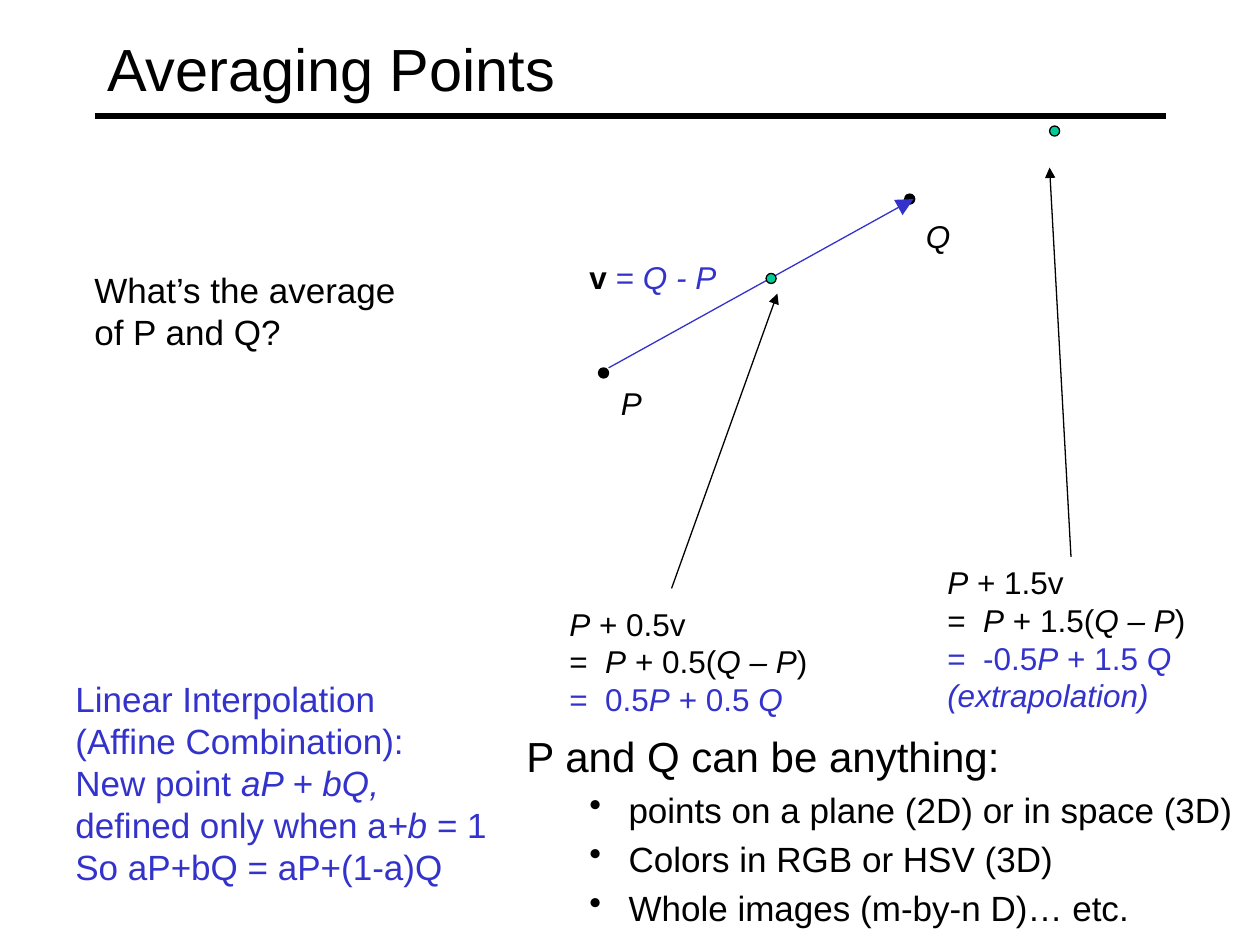
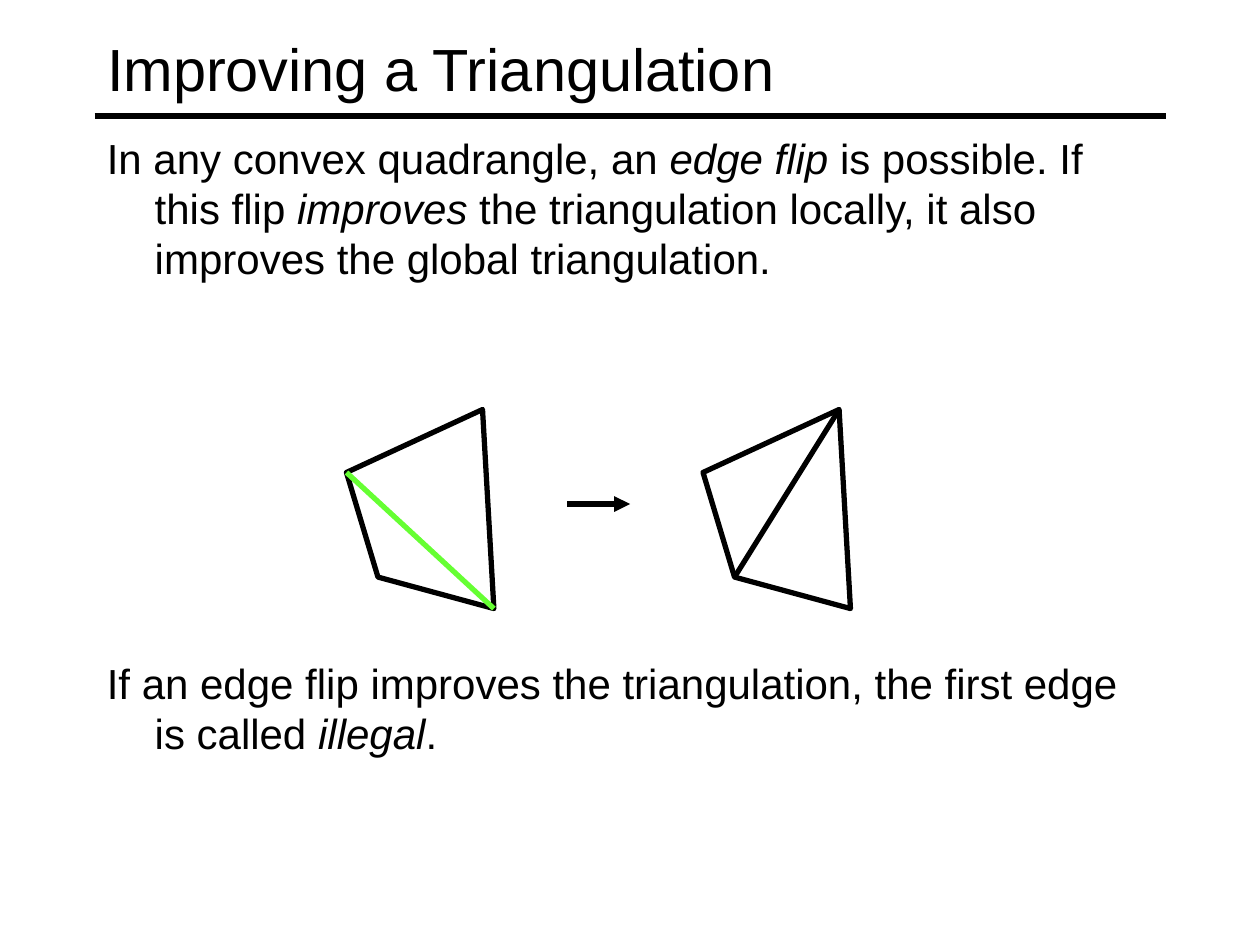
from lxml import etree
from pptx import Presentation, util as u
from pptx.dml.color import RGBColor
from pptx.enum import shapes, text
from pptx.oxml.ns import qn

# ---- Shared style ----
WIDTH, HEIGHT = 10, 7.5
MARGIN = 0.75
FONT = "Arial"
BLACK, BLUE, TEAL, GREEN = "000000", "3333CC", "00CC99", "66FF33"
THIN, THICK = 0.75, 3
TITLE_BOX = (MARGIN, 0.08, WIDTH - 2 * MARGIN, 0.92)
RULE_Y = 0.92
DOT = 0.08
HANGING = dict(margin=0.38, indent=-0.38, before=5)
BULLET = dict(margin=0.81, indent=-0.31, before=4, level=1, bullet="•")

# ---- Content: text between underscores is italic ----
AVERAGING = "Averaging Points"
QUESTION = ["What’s the average", "of P and Q?"]
DOTS = [((4.79, 2.96), BLACK), ((7.22, 1.58), BLACK),
        ((6.12, 2.21), TEAL), ((8.37, 1.04), TEAL)]
ARROWS = [((4.83, 2.92), (7.25, 1.58), BLUE, "lg"),
          ((5.33, 4.67), (6.17, 2.33), BLACK, "med"),
          ((8.5, 4.42), (8.33, 1.33), BLACK, "med")]
POINT_NAMES = [("_P_", (4.83, 3, 0.37, 0.4)), ("_Q_", (7.25, 1.67, 0.4, 0.4))]
VECTOR = "v __= _Q - P_"
MIDPOINT = [("_P_ + 0.5v", BLACK),
            ("=  _P_ + 0.5(_Q – P_)", BLACK),
            ("=  0.5_P_ + 0.5 _Q_", BLUE)]
BEYOND = [("_P_ + 1.5v", BLACK),
          ("=  _P_ + 1.5(_Q – P_)", BLACK),
          ("=  -0.5_P_ + 1.5 _Q_", BLUE),
          ("_(extrapolation)_", BLUE)]
INTERPOLATION = ["Linear Interpolation", "(Affine Combination):",
                 "New point _aP + bQ,_", "defined only when a_+b_ = 1",
                 "So aP+bQ = aP+(1-a)Q"]
ANYTHING = "P and Q can be anything:"
EXAMPLES = ["points on a plane (2D) or in space (3D)",
            "Colors in RGB or HSV (3D)", "Whole images (m-by-n D)… etc."]

IMPROVING = "Improving a Triangulation"
FLIP = ("In any convex quadrangle, an _edge flip_ is possible. If this flip "
        "_improves_ the triangulation locally, it also improves the global "
        "triangulation.")
ILLEGAL = ("If an edge flip improves the triangulation, the first edge is "
           "called _illegal_.")
QUAD = [(2.75, 3.75), (3.83, 3.25), (3.92, 4.83), (3, 4.58)]  # clockwise from left
QUAD_STEP = 2.83
FLIP_EDGES = [(0, 2, GREEN), (3, 1, BLACK)]  # diagonal of each quadrangle


# ---- Helpers ----
def rgb(color):
    return RGBColor.from_string(color)


def inches(values):
    return [u.Inches(v) for v in values]


def set_font(font, color=BLACK, **values):
    for name, value in dict(name=FONT, **values).items():
        setattr(font, name, value)
    font.color.rgb = rgb(color)


def write(p, content, size, color=BLACK):
    """Fill a paragraph, switching italics at each underscore."""
    for i, part in enumerate(content.split("_")):
        if part:
            r = p.add_run()
            r.text = part
            set_font(r.font, color, size=u.Pt(size), italic=i % 2 == 1)


def layout_paragraph(p, first, margin=0, indent=0, before=0, level=0,
                     bullet=None):
    p.level = level
    p.space_before = u.Pt(0 if first else before)
    pPr = p._p.get_or_add_pPr()
    pPr.set("marL", str(u.Inches(margin)))
    pPr.set("indent", str(u.Inches(indent)))
    if bullet:
        etree.SubElement(pPr, qn("a:buChar"), char=bullet)
    else:
        etree.SubElement(pPr, qn("a:buNone"))


def add_text(s, box, paragraphs, wrap=True):
    """paragraphs: list of (content, size, color, layout)."""
    tf = s.shapes.add_textbox(*inches(box)).text_frame
    tf.word_wrap = wrap
    for i, (content, size, color, layout) in enumerate(paragraphs):
        p = tf.add_paragraph() if i else tf.paragraphs[0]
        layout_paragraph(p, i == 0, **layout)
        write(p, content, size, color)
    return tf


def plain(lines, size, color=BLACK):
    return [(line, size, color, {}) for line in lines]


def formula(lines):
    return [(line, 18, color, {}) for line, color in lines]


def add_line(s, start, end, color=BLACK, width=THIN, arrow=None):
    """arrow: size of the arrowhead at the end, or None."""
    c = s.shapes.add_connector(shapes.MSO_CONNECTOR.STRAIGHT,
                               *inches(start + end))
    c.line.color.rgb = rgb(color)
    c.line.width = u.Pt(width)
    if arrow:
        etree.SubElement(c.line._get_or_add_ln(), qn("a:tailEnd"),
                         type="triangle", w=arrow, len=arrow)
    etree.SubElement(c._element.spPr, qn("a:effectLst"))


def add_dot(s, center, color):
    x, y = center
    sp = s.shapes.add_shape(shapes.MSO_SHAPE.OVAL, *inches(
        (x - DOT / 2, y - DOT / 2, DOT, DOT)))
    sp.shadow.inherit = False
    sp.fill.solid()
    sp.fill.fore_color.rgb = rgb(color)
    sp.line.color.rgb = rgb(BLACK)
    sp.line.width = u.Pt(THIN)


def add_polygon(s, corners):
    points = [inches(corner) for corner in corners]
    builder = s.shapes.build_freeform(*points[0])
    builder.add_line_segments(points[1:], close=True)
    sp = builder.convert_to_shape()
    sp.shadow.inherit = False
    sp.fill.background()
    sp.line.color.rgb = rgb(BLACK)
    sp.line.width = u.Pt(THICK)
    etree.SubElement(sp.line._get_or_add_ln(), qn("a:round"))


def new_slide(prs, title):
    s = prs.slides.add_slide(prs.slide_layouts[5])
    t = s.shapes.title
    t.left, t.top, t.width, t.height = inches(TITLE_BOX)
    tf = t.text_frame
    tf.vertical_anchor = text.MSO_ANCHOR.MIDDLE
    p = tf.paragraphs[0]
    p.alignment = text.PP_ALIGN.LEFT
    write(p, title, 34)
    add_line(s, (MARGIN, RULE_Y), (WIDTH - MARGIN, RULE_Y), width=THICK)
    return s


# ---- Slides ----
def averaging_slide(prs):
    s = new_slide(prs, AVERAGING)
    # Points, vector and callout arrows
    for center, color in DOTS[:2]:
        add_dot(s, center, color)
    for start, end, color, head in ARROWS:
        add_line(s, start, end, color, arrow=head)
    for center, color in DOTS[2:]:
        add_dot(s, center, color)
    # Labels
    for name, box in POINT_NAMES:
        add_text(s, box, plain([name], 18), wrap=False)
    tf = add_text(s, (4.58, 2, 1.21, 0.4), plain([VECTOR], 18, BLUE), wrap=False)
    set_font(tf.paragraphs[0].runs[0].font, BLACK, bold=True)
    add_text(s, (4.42, 4.75, 2.09, 1), formula(MIDPOINT), wrap=False)
    add_text(s, (7.42, 4.42, 2.33, 1.3), formula(BEYOND))
    # Question, rule and examples
    add_text(s, (0.65, 2.08, 2.59, 0.77), plain(QUESTION, 20), wrap=False)
    add_text(s, (0.5, 5.33, 3.5, 1.77), plain(INTERPOLATION, 20, BLUE))
    add_text(s, (4.08, 5.75, 5.92, 1.75),
             [(ANYTHING, 24, BLACK, HANGING)]
             + [(line, 20, BLACK, BULLET) for line in EXAMPLES])


def triangulation_slide(prs):
    s = new_slide(prs, IMPROVING)
    for content, top, height in [(FLIP, 1, 1.53), (ILLEGAL, 5.17, 1.17)]:
        add_text(s, (MARGIN, top, WIDTH - 2 * MARGIN, height),
                 [(content, 24, BLACK, HANGING)])
    # Quadrangle before and after the flip
    for i, (a, b, color) in enumerate(FLIP_EDGES):
        corners = [(x + i * QUAD_STEP, y) for x, y in QUAD]
        add_polygon(s, corners)
        add_line(s, corners[a], corners[b], color, THICK)
    add_line(s, (4.5, 4), (5, 4), width=THICK, arrow="med")


def main():
    prs = Presentation()
    prs.slide_width, prs.slide_height = inches((WIDTH, HEIGHT))
    averaging_slide(prs)
    triangulation_slide(prs)
    prs.save("out.pptx")


if __name__ == "__main__":
    main()
